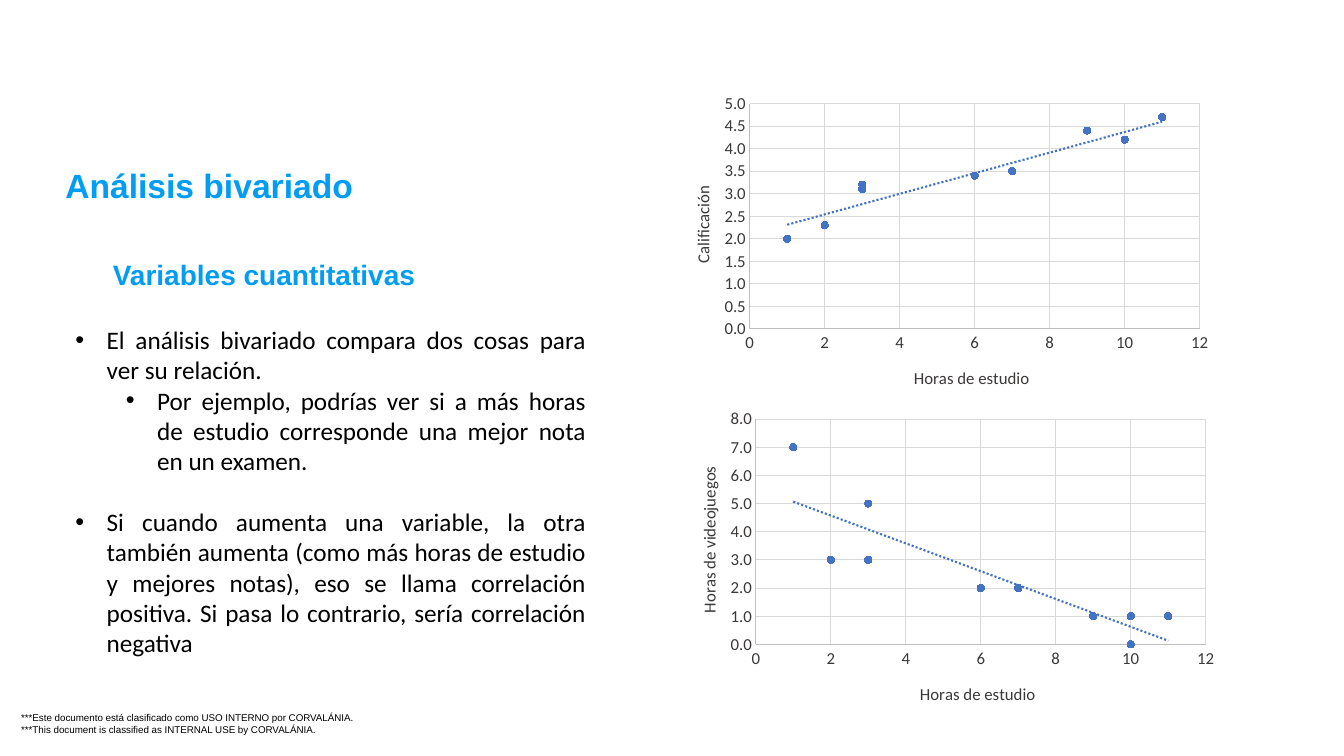
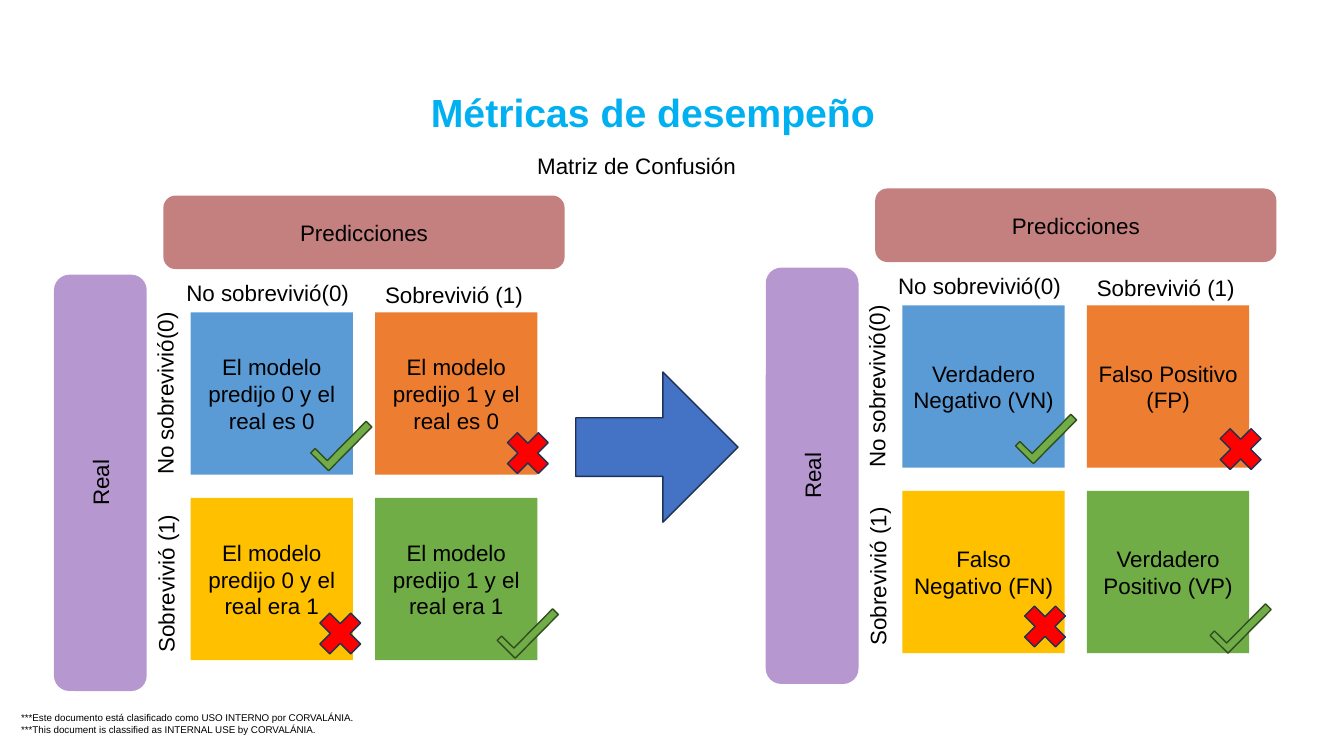
from lxml import etree
from pptx import Presentation
from pptx import util as u
from pptx.chart.data import XyChartData
from pptx.dml.color import RGBColor
from pptx.enum import chart as chart_enum, shapes, text
from pptx.oxml import parse_xml
from pptx.oxml.ns import nsdecls, qn

BLACK = RGBColor(0x00, 0x00, 0x00)
TITLE_BLUE = RGBColor(0x01, 0x9D, 0xF4)
SKY = RGBColor(0x00, 0xB0, 0xF0)
CHART_TEXT = RGBColor(0x3B, 0x38, 0x38)
AXIS_GREY = RGBColor(0xBF, 0xBF, 0xBF)
GRID_GREY = RGBColor(0xD9, 0xD9, 0xD9)
BLUE = RGBColor(0x44, 0x72, 0xC4)
LIGHT_BLUE = RGBColor(0x5B, 0x9B, 0xD5)
ORANGE = RGBColor(0xED, 0x7D, 0x31)
YELLOW = RGBColor(0xFF, 0xC0, 0x00)
GREEN = RGBColor(0x70, 0xAD, 0x47)
RED = RGBColor(0xFF, 0x00, 0x00)
MAROON = RGBColor(0x8A, 0x00, 0x00)
PURPLE = RGBColor(0x70, 0x30, 0xA0)
NAVY = RGBColor(0x1E, 0x32, 0x56)
DARK_GREEN = RGBColor(0x31, 0x4C, 0x1F)

FOOTER = ("***Este documento está clasificado como USO INTERNO por CORVALÁNIA.\v"
          "***This document is classified as INTERNAL USE by CORVALÁNIA.")
CELL_COLORS = (LIGHT_BLUE, ORANGE, YELLOW, GREEN)
OUTCOMES = ("No sobrevivió(0)", "Sobrevivió (1)")
LEFT, CENTER, JUSTIFY = (text.PP_ALIGN.LEFT, text.PP_ALIGN.CENTER,
                         text.PP_ALIGN.JUSTIFY)
TOP, MIDDLE = text.MSO_ANCHOR.TOP, text.MSO_ANCHOR.MIDDLE
PRESET = shapes.MSO_SHAPE


def inches(box):
    return [u.Inches(value) for value in box]


def style_font(font, size, color, name="Arial", bold=False):
    font.size, font.name, font.bold = u.Pt(size), name, bold
    font.color.rgb = color


def style_line(line, color, width):
    line.color.rgb = color
    line.width = u.Pt(width)


def place_in_chart(parent, x, y, size=None):
    """Fix a title, or a plot area with a size, at fractions of the chart."""
    values = [("xMode", "edge"), ("yMode", "edge"), ("x", x), ("y", y)]
    if size:
        values.insert(0, ("layoutTarget", "inner"))
        values += [("w", size[0]), ("h", size[1])]
    for old in parent.findall(qn("c:layout")):
        parent.remove(old)
    layout = etree.Element(qn("c:layout"))
    manual = etree.SubElement(layout, qn("c:manualLayout"))
    for tag, value in values:
        etree.SubElement(manual, qn("c:" + tag)).set("val", str(value))
    rich_text = parent.find(qn("c:tx"))
    parent.insert(0 if rich_text is None else 1, layout)


class Deck:
    """Shared style and the slide being filled."""

    def __init__(self):
        self.presentation = Presentation()
        self.presentation.slide_width = u.Inches(13.33)
        self.presentation.slide_height = u.Inches(7.5)
        self.shapes = None

    def new_slide(self):
        slide = self.presentation.slides.add_slide(
            self.presentation.slide_layouts[6])
        self.shapes = slide.shapes
        self.text_box((0.21, 7.06, 3.34, 0.23), FOOTER, 7, margin=0)

    def text_box(self, box, words, size, color=BLACK, bold=False, align=LEFT,
                 anchor=TOP, wrap=True, rotation=0, margin=None):
        shape = self.shapes.add_textbox(*inches(box))
        shape.rotation = rotation
        frame = shape.text_frame
        frame.word_wrap = wrap
        frame.vertical_anchor = anchor
        if margin is not None:
            frame.margin_left = frame.margin_right = u.Inches(margin)
            frame.margin_top = frame.margin_bottom = u.Inches(margin)
        frame.text = words
        paragraph = frame.paragraphs[0]
        paragraph.alignment = align
        for run in paragraph.runs:
            style_font(run.font, size, color, bold=bold)

    def title(self, box, words, size, color=TITLE_BLUE, align=LEFT, anchor=MIDDLE):
        self.text_box(box, words, size, color, True, align, anchor)

    def label(self, box, words, rotation=0):
        self.text_box(box, words, 16, wrap=False, rotation=rotation)

    def bullets(self, box, items):
        """Items are (level, space before in points, words)."""
        frame = self.shapes.add_textbox(*inches(box)).text_frame
        frame.word_wrap = True
        for index, (level, space, words) in enumerate(items):
            paragraph = frame.add_paragraph() if index else frame.paragraphs[0]
            paragraph.text = words
            paragraph.level = level
            paragraph.alignment = JUSTIFY
            properties = paragraph._p.get_or_add_pPr()
            properties.set("marL", str(u.Inches(0.31 + 0.5 * level)))
            properties.set("indent", str(u.Inches(-0.31)))
            etree.SubElement(properties, qn("a:buFont")).set("typeface", "Arial")
            etree.SubElement(properties, qn("a:buChar")).set("char", "•")
            if space:
                paragraph.space_before = u.Pt(space)
            style_font(paragraph.runs[0].font, 18, BLACK, "Calibri")

    def shape(self, preset, box, fill, words="", line=None, rotation=0,
              adjustments=(), opacity=None):
        shape = self.shapes.add_shape(preset, *inches(box))
        shape.shadow.inherit = False
        shape.rotation = rotation
        for index, value in enumerate(adjustments):
            shape.adjustments[index] = value
        shape.fill.solid()
        shape.fill.fore_color.rgb = fill
        if opacity is not None:
            color = shape._element.spPr.find(qn("a:solidFill"))[0]
            etree.SubElement(color, qn("a:alpha")).set("val", str(opacity * 1000))
        if line is None:
            shape.line.fill.background()
        else:
            style_line(shape.line, line, 1)
        if words:
            frame = shape.text_frame
            frame.word_wrap = True
            frame.vertical_anchor = MIDDLE
            frame.text = words
            frame.paragraphs[0].alignment = CENTER
            style_font(frame.paragraphs[0].runs[0].font, 16, BLACK)

    def check_mark(self, left, top):
        self.shape(PRESET.CORNER, (left, top, 0.61, 0.25), GREEN,
                   line=DARK_GREEN, rotation=314.7, adjustments=(0.32, 0.25))

    def cross_mark(self, left, top):
        self.shape(PRESET.MATH_MULTIPLY, (left, top, 0.59, 0.59), RED, line=NAVY)

    def confusion_matrix(self, left, top, cells):
        """Draw a grouped 2 × 2 matrix whose first cell is at left, top."""
        slide_shapes = self.shapes
        self.shapes = slide_shapes.add_group_shape().shapes
        for index, (words, color) in enumerate(zip(cells, CELL_COLORS)):
            row, column = divmod(index, 2)
            box = (left + 1.83 * column, top + 1.84 * row, 1.61, 1.61)
            self.shape(PRESET.RECTANGLE, box, color, words)
        self.shape(PRESET.ROUNDED_RECTANGLE, (left - 0.27, top - 1.16, 3.98, 0.73),
                   MAROON, "Predicciones", opacity=50)
        self.shape(PRESET.ROUNDED_RECTANGLE, (left - 2.96, top + 1.23, 4.13, 0.92),
                   PURPLE, "Real", rotation=270, opacity=50)
        first, second = OUTCOMES
        self.label((left - 0.14, top - 0.38, 1.83, 0.37), first)
        self.label((left + 1.83, top - 0.36, 1.59, 0.37), second)
        self.label((left - 1.17, top + 0.61, 1.83, 0.37), first, 270)
        self.label((left - 1.04, top + 2.49, 1.59, 0.37), second, 270)
        self.shapes = slide_shapes

    def axis(self, axis, title, maximum, step, number_format, title_place, turn=0):
        axis.minimum_scale, axis.maximum_scale = 0, maximum
        axis.major_unit = step
        axis.major_tick_mark = axis.minor_tick_mark = chart_enum.XL_TICK_MARK.NONE
        axis.tick_labels.number_format = number_format
        axis.tick_labels.number_format_is_linked = False
        style_font(axis.tick_labels.font, 12, CHART_TEXT, "Calibri")
        style_line(axis.format.line, AXIS_GREY, 0.75)
        axis.has_major_gridlines = True
        style_line(axis.major_gridlines.format.line, GRID_GREY, 0.75)
        frame = axis.axis_title.text_frame
        frame.text = title
        style_font(frame.paragraphs[0].runs[0].font, 12, CHART_TEXT, "Calibri")
        frame._txBody.bodyPr.set("rot", str(turn * 60000))
        place_in_chart(axis.axis_title._element, *title_place)

    def scatter(self, left, top, hours, values, title, title_y, maximum, step):
        """Add a scatter chart of study hours with a linear trend line."""
        data = XyChartData()
        points = data.add_series("Series 1")
        for x, y in zip(hours, values):
            points.add_data_point(x, y)
        chart = self.shapes.add_chart(
            chart_enum.XL_CHART_TYPE.XY_SCATTER,
            *inches((left, top, 5.51, 3.15)), data).chart
        chart.has_legend = chart.has_title = False
        style_font(chart.font, 12, CHART_TEXT, "Calibri")
        chart.plots[0].vary_by_categories = False
        place_in_chart(chart._chartSpace.chart.plotArea, 0.15, 0.05, (0.81, 0.71))
        self.axis(chart.category_axis, "Horas de estudio", 12, 2, "General",
                  (0.44, 0.87))
        self.axis(chart.value_axis, title, maximum, step, "0.0",
                  (0.04, title_y), -90)
        series = chart.plots[0].series[0]
        series.smooth = False
        series.format.line.fill.background()
        series.marker.style = chart_enum.XL_MARKER_STYLE.CIRCLE
        series.marker.size = 5
        series.marker.format.fill.solid()
        series.marker.format.fill.fore_color.rgb = BLUE
        style_line(series.marker.format.line, BLUE, 0.75)
        trend = parse_xml(
            f'<c:trendline {nsdecls("c", "a")}><c:spPr><a:ln w="{u.Pt(1.5)}">'
            f'<a:solidFill><a:srgbClr val="{BLUE}"/></a:solidFill>'
            '<a:prstDash val="sysDot"/></a:ln></c:spPr>'
            '<c:trendlineType val="linear"/><c:dispRSqr val="0"/>'
            '<c:dispEq val="0"/></c:trendline>')
        series._element.find(qn("c:xVal")).addprevious(trend)


def bivariate_slide(deck):
    deck.new_slide()
    deck.title((0.55, 1.59, 7.5, 0.56), "Análisis bivariado", 24, anchor=TOP)
    deck.title((1.02, 2.44, 3.49, 0.56), "Variables cuantitativas", 20)
    deck.bullets((0.65, 3.17, 5.26, 3.36), (
        (0, 0, "El análisis bivariado compara dos cosas para ver su relación."),
        (1, 0, "Por ejemplo, podrías ver si a más horas de estudio corresponde "
               "una mejor nota en un examen."),
        (0, 22, "Si cuando aumenta una variable, la otra también aumenta (como "
                "más horas de estudio y mejores notas), eso se llama correlación "
                "positiva. Si pasa lo contrario, sería correlación negativa")))
    hours = (1, 2, 3, 3, 6, 7, 9, 10, 10, 11)
    grades = (2, 2.3, 3.1, 3.2, 3.4, 3.5, 4.4, 4.2, 4.2, 4.7)
    game_hours = (7, 3, 5, 3, 2, 2, 1, 0, 1, 1)
    deck.scatter(6.61, 0.87, hours, grades, "Calificación", 0.3, 5, 0.5)
    deck.scatter(6.67, 4, hours, game_hours, "Horas de videojuegos", 0.19, 8, 1)


def metrics_slide(deck):
    deck.new_slide()
    deck.label((5.23, 1.46, 2.2, 0.37), "Matriz de Confusión")
    deck.confusion_matrix(1.89, 3.1, (
        "El modelo predijo 0 y el real es 0", "El modelo predijo 1 y el real es 0",
        "El modelo predijo 0 y el real era 1", "El modelo predijo 1 y el real era 1"))
    deck.confusion_matrix(8.95, 3.03, (
        "Verdadero Negativo (VN)", "Falso Positivo (FP)",
        "Falso Negativo (FN)", "Verdadero Positivo (VP)"))
    deck.shape(PRESET.RIGHT_ARROW, (5.71, 3.69, 1.61, 1.49), BLUE, line=NAVY,
               adjustments=(0.39, 0.5))
    for place in ((3.08, 4.24), (10.07, 4.17), (4.93, 6.1), (12, 6.05)):
        deck.check_mark(*place)
    for place in ((3.08, 5.99), (10.07, 5.92), (4.94, 4.2), (12.01, 4.16)):
        deck.cross_mark(*place)
    deck.title((3.3, 0.83, 6.35, 0.56), "Métricas de desempeño", 28, SKY, CENTER)


def main():
    deck = Deck()
    bivariate_slide(deck)
    metrics_slide(deck)
    deck.presentation.save("out.pptx")


if __name__ == "__main__":
    main()
